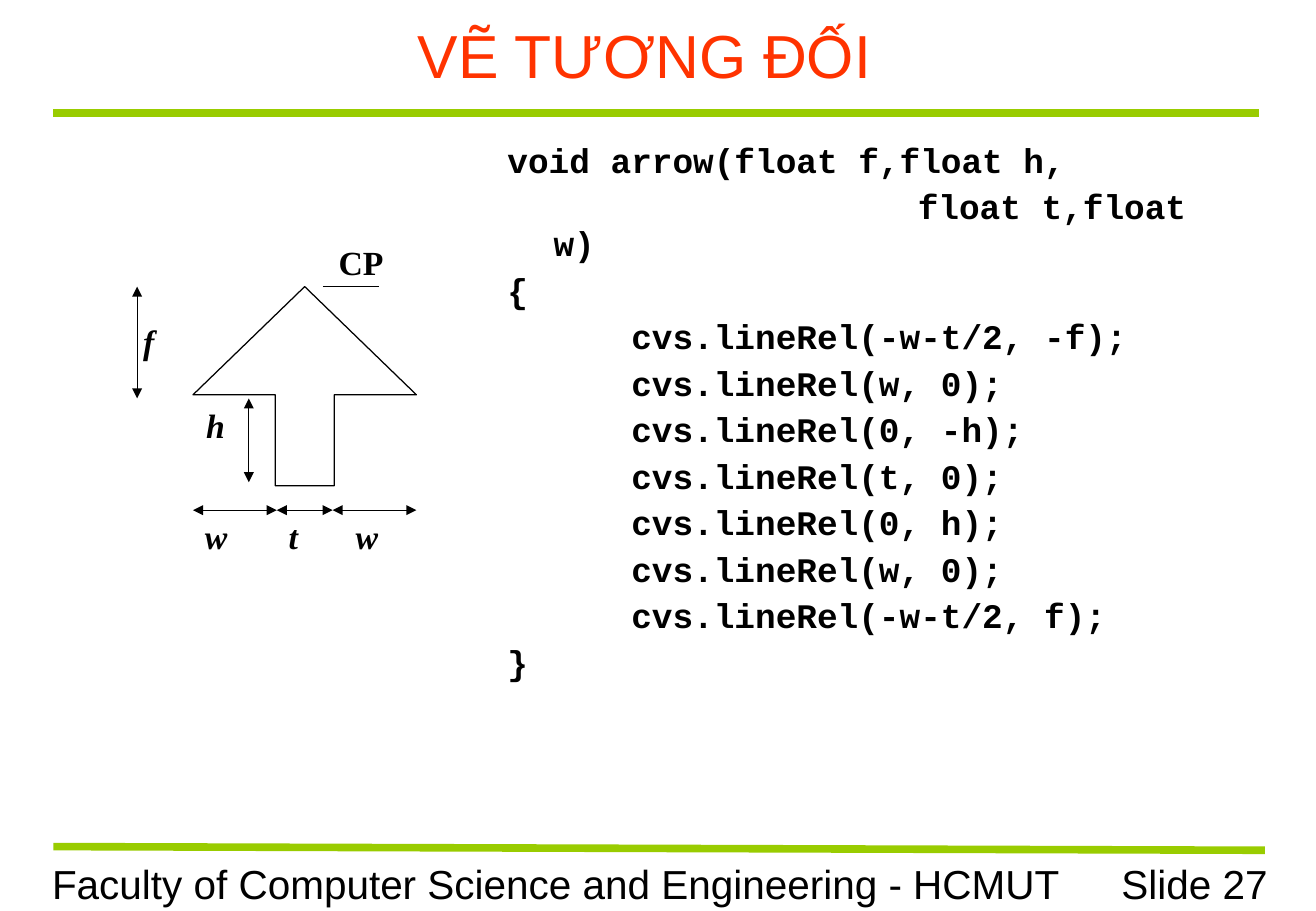
from dataclasses import dataclass

from pptx import Presentation
from pptx.dml.color import RGBColor
from pptx.enum.shapes import MSO_CONNECTOR, MSO_SHAPE
from pptx.enum.text import MSO_ANCHOR, MSO_AUTO_SIZE, PP_ALIGN
from pptx.oxml.ns import qn
from pptx.util import Inches, Pt
from lxml.etree import SubElement


@dataclass(frozen=True)
class Theme:
    ink: RGBColor = RGBColor(0x00, 0x00, 0x00)
    paper: RGBColor = RGBColor(0xFF, 0xFF, 0xFF)
    heading: RGBColor = RGBColor(0xFF, 0x33, 0x00)
    rule: RGBColor = RGBColor(0x99, 0xCC, 0x00)
    sans: str = "Arial"
    mono: str = "Courier New"
    serif: str = "Times New Roman"
    title_size: float = 36
    footer_size: float = 24
    code_size: float = 20.4
    label_size: float = 20
    rule_width: float = 4.5
    line_width: float = 0.75


theme = Theme()


def write_text(box, place, text, font, size, color=theme.ink, bold=False, italic=False):
    """Move the box to place (left, top, width, height in inches) and fill it."""
    box.left, box.top, box.width, box.height = [Inches(value) for value in place]
    frame = box.text_frame
    frame.word_wrap = True
    frame.auto_size = MSO_AUTO_SIZE.NONE
    frame.text = text
    for para in frame.paragraphs:
        for span in para.runs:
            span.font.name = font
            span.font.size = Pt(size)
            span.font.color.rgb = color
            span.font.bold = bold
            span.font.italic = italic
    return frame


def draw_line(start, end, color=theme.ink, width=theme.line_width, arrows=False):
    line = slide.shapes.add_connector(
        MSO_CONNECTOR.STRAIGHT, *[Inches(value) for value in start + end])
    line.line.color.rgb = color
    line.line.width = Pt(width)
    if arrows:
        outline = line.line._get_or_add_ln()
        for ending in ("a:headEnd", "a:tailEnd"):
            SubElement(outline, qn(ending), type="triangle")
    SubElement(line._element.spPr, qn("a:effectLst"))


deck = Presentation()
deck.slide_width = Inches(10.84)
deck.slide_height = Inches(7.5)
slide = deck.slides.add_slide(deck.slide_layouts[1])

# Green rules and footer
for start, end in [((0.44, 0.93), (10.37, 0.93)), ((0.44, 6.97), (10.42, 7))]:
    draw_line(start, end, theme.rule, theme.rule_width)

footers = [
    ("Faculty of Computer Science and Engineering - HCMUT", 0.33, 8.52, PP_ALIGN.LEFT),
    ("Slide 27", 8.55, 1.99, PP_ALIGN.RIGHT),
]
for text, left, width, alignment in footers:
    box = slide.shapes.add_textbox(0, 0, 0, 0)
    frame = write_text(box, (left, 7.02, width, 0.5), text, theme.sans, theme.footer_size)
    frame.paragraphs[0].alignment = alignment

# Title
frame = write_text(slide.shapes.title, (0.33, 0.1, 9.96, 0.7), "VẼ TƯƠNG ĐỐI",
                   theme.sans, theme.title_size, theme.heading)
frame.vertical_anchor = MSO_ANCHOR.MIDDLE
frame.paragraphs[0].alignment = PP_ALIGN.CENTER

# Code listing, with a tab stop every inch
code = """void arrow(float f,float h,
\t\t\t\tfloat t,float w)
{
      cvs.lineRel(-w-t/2, -f);
      cvs.lineRel(w, 0);
      cvs.lineRel(0, -h);
      cvs.lineRel(t, 0);
      cvs.lineRel(0, h);
      cvs.lineRel(w, 0);
      cvs.lineRel(-w-t/2, f);
}"""
frame = write_text(slide.placeholders[1], (4.08, 1.13, 6.21, 5.03), code,
                   theme.mono, theme.code_size, bold=True)
frame.vertical_anchor = MSO_ANCHOR.TOP
for index, para in enumerate(frame.paragraphs):
    properties = para._p.get_or_add_pPr()
    properties.set("marL", str(Inches(0.38)))
    properties.set("indent", str(Inches(-0.38)))
    properties.set("defTabSz", str(Inches(1)))
    SubElement(properties, qn("a:buNone"))
    para.line_spacing = 0.9
    para.space_before = Pt(5.5 if index else 0)

# Arrow outline with its dimensions
arrow = slide.shapes.add_shape(
    MSO_SHAPE.UP_ARROW, Inches(1.59), Inches(2.36), Inches(1.84), Inches(1.64))
arrow.adjustments[0] = 0.264
arrow.adjustments[1] = 0.543
arrow.shadow.inherit = False
arrow.fill.solid()
arrow.fill.fore_color.rgb = theme.paper
arrow.line.color.rgb = theme.ink
arrow.line.width = Pt(theme.line_width)

dimensions = [
    ((1.13, 2.36), (1.13, 3.28)),
    ((2.05, 3.28), (2.05, 3.97)),
    ((1.59, 4.2), (2.28, 4.2)),
    ((2.28, 4.2), (2.74, 4.2)),
    ((2.74, 4.2), (3.43, 4.2)),
]
for start, end in dimensions:
    draw_line(start, end, arrows=True)
draw_line((2.66, 2.36), (3.12, 2.36))

labels = [
    ("f", 1.08, 2.59),
    ("h", 1.6, 3.28),
    ("w", 1.59, 4.2),
    ("t", 2.28, 4.2),
    ("w", 2.83, 4.2),
    ("CP", 2.69, 1.94),
]
for text, left, top in labels:
    is_point = text == "CP"
    box = slide.shapes.add_textbox(0, 0, 0, 0)
    write_text(box, (left, top, 0.92 if is_point else 0.69, 0.69), text,
               theme.serif, theme.label_size, bold=True, italic=not is_point)

deck.save("out.pptx")
